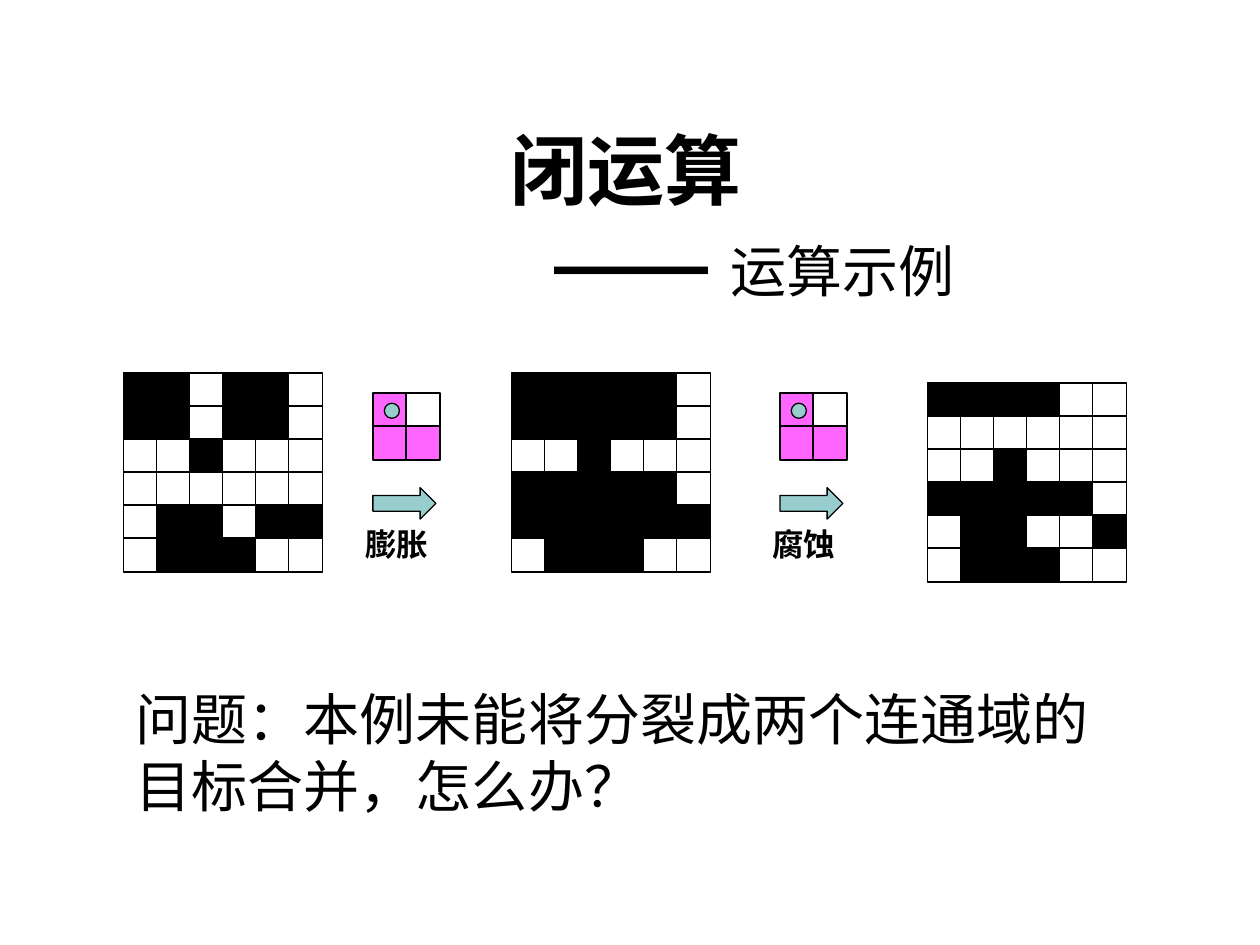
from typing import NamedTuple

from lxml import etree
from pptx import Presentation
from pptx.dml.color import RGBColor
from pptx.enum.shapes import MSO_SHAPE
from pptx.enum.text import MSO_ANCHOR
from pptx.oxml.ns import qn
from pptx.util import Inches, Pt

RECT = MSO_SHAPE.RECTANGLE
OVAL = MSO_SHAPE.OVAL
ARROW = MSO_SHAPE.RIGHT_ARROW
BOTTOM = MSO_ANCHOR.BOTTOM
TOP = MSO_ANCHOR.TOP

LATIN = "Montserrat"
HAN = "Noto Sans CJK SC"
BLACK = "000000"
TEAL = "97CDCC"
FILLS = {"#": BLACK, ".": "FFFFFF", "o": "FF66FF"}
CELL = 0.27
STEP = 0.262


class Grid(NamedTuple):
    left: float
    top: float
    rows: tuple[str, ...]


class Step(NamedTuple):
    left: float
    label: str


GRIDS = (
    Grid(0.98, 2.96, ("##.##.", "##.##.", "..#...", "......", ".##.##", ".###..")),
    Grid(4.06, 2.96, ("#####.", "#####.", "..#...", "#####.", "######", ".###..")),
    Grid(7.36, 3.04, ("####..", "......", "..#...", "#####.", ".##..#", ".###..")),
)
STEPS = (Step(2.96, "膨胀"), Step(6.19, "腐蚀"))
KERNEL = ("o.", "oo")


def color(code: str) -> RGBColor:
    return RGBColor.from_string(code)


def add_form(group, kind, left: float, top: float, width: float, height: float, fill: str) -> None:
    form = group.shapes.add_shape(kind, Inches(left), Inches(top), Inches(width), Inches(height))
    form.shadow.inherit = False
    form.fill.solid()
    form.fill.fore_color.rgb = color(fill)
    form.line.color.rgb = color(BLACK)
    form.line.width = Pt(0.75)


def add_grid(group, grid: Grid) -> None:
    for row, marks in enumerate(grid.rows):
        for col, mark in enumerate(marks):
            left, top = grid.left + col * STEP, grid.top + row * STEP
            add_form(group, RECT, left, top, CELL, CELL, FILLS[mark])


def add_box(shapes, left: float, top: float, width: float, height: float, anchor=TOP):
    box = shapes.add_textbox(Inches(left), Inches(top), Inches(width), Inches(height))
    frame = box.text_frame
    frame.word_wrap = True
    frame.vertical_anchor = anchor
    return frame


def add_run(para, text: str, size: int, bold: bool = False, face: str = HAN) -> None:
    run = para.add_run()
    run.text = text
    font = run.font
    font.size = Pt(size)
    font.bold = bold
    font.color.rgb = color(BLACK)
    font.name = face
    etree.SubElement(run._r.get_or_add_rPr(), qn("a:ea")).set("typeface", face)


def add_step(shapes, step: Step) -> None:
    group = shapes.add_group_shape()
    add_form(group, ARROW, step.left, 3.87, 0.5, 0.25, TEAL)
    add_grid(group, Grid(step.left, 3.12, KERNEL))
    add_form(group, OVAL, step.left + 0.09, 3.2, 0.12, 0.12, TEAL)
    frame = add_box(group.shapes, step.left - 0.16, 4.12, 0.83, 0.4)
    add_run(frame.paragraphs[0], step.label, 18, True)


def add_title(shapes) -> None:
    frame = add_box(shapes, 0.75, 1.24, 8.42, 1.25, BOTTOM)
    head = frame.paragraphs[0]
    add_run(head, "闭运算", 44, True, LATIN)
    sub = frame.add_paragraph()
    add_run(sub, "—— ", 44, True, LATIN)
    add_run(sub, "运算示例", 32, False, LATIN)
    for para, indent in ((head, 3.2), (sub, 3.55)):
        para._p.get_or_add_pPr().set("marL", str(Inches(indent)))


def main() -> None:
    deck = Presentation()
    deck.slide_width, deck.slide_height = Inches(10), Inches(7.5)
    shapes = deck.slides.add_slide(deck.slide_layouts[6]).shapes
    add_title(shapes)
    for grid in GRIDS:
        add_grid(shapes.add_group_shape(), grid)
    for step in STEPS:
        add_step(shapes, step)
    frame = add_box(shapes, 0.98, 5.38, 8.11, 1.18)
    add_run(frame.paragraphs[0], "问题：本例未能将分裂成两个连通域的目标合并，怎么办？", 32)
    deck.save("out.pptx")


if __name__ == "__main__":
    main()
